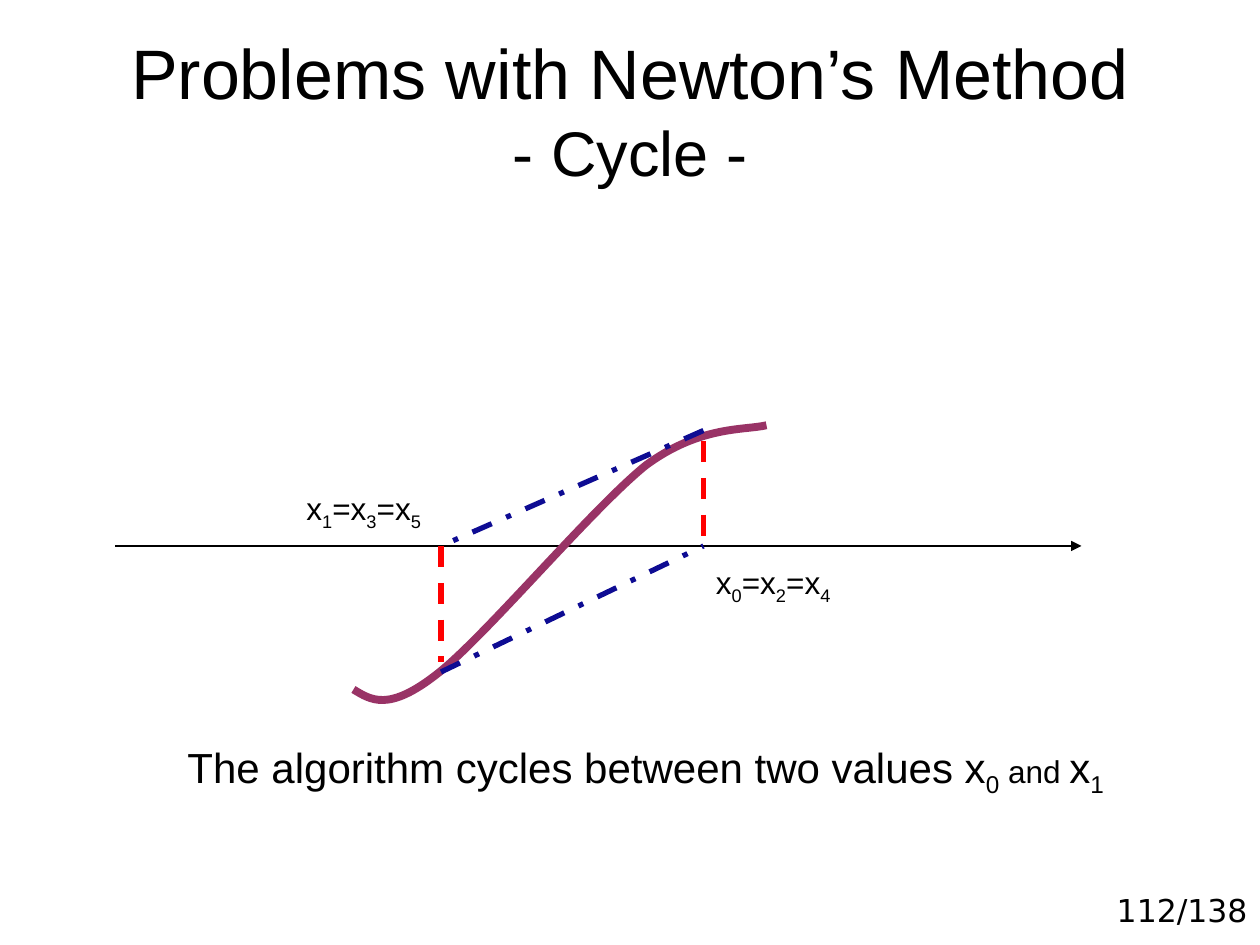
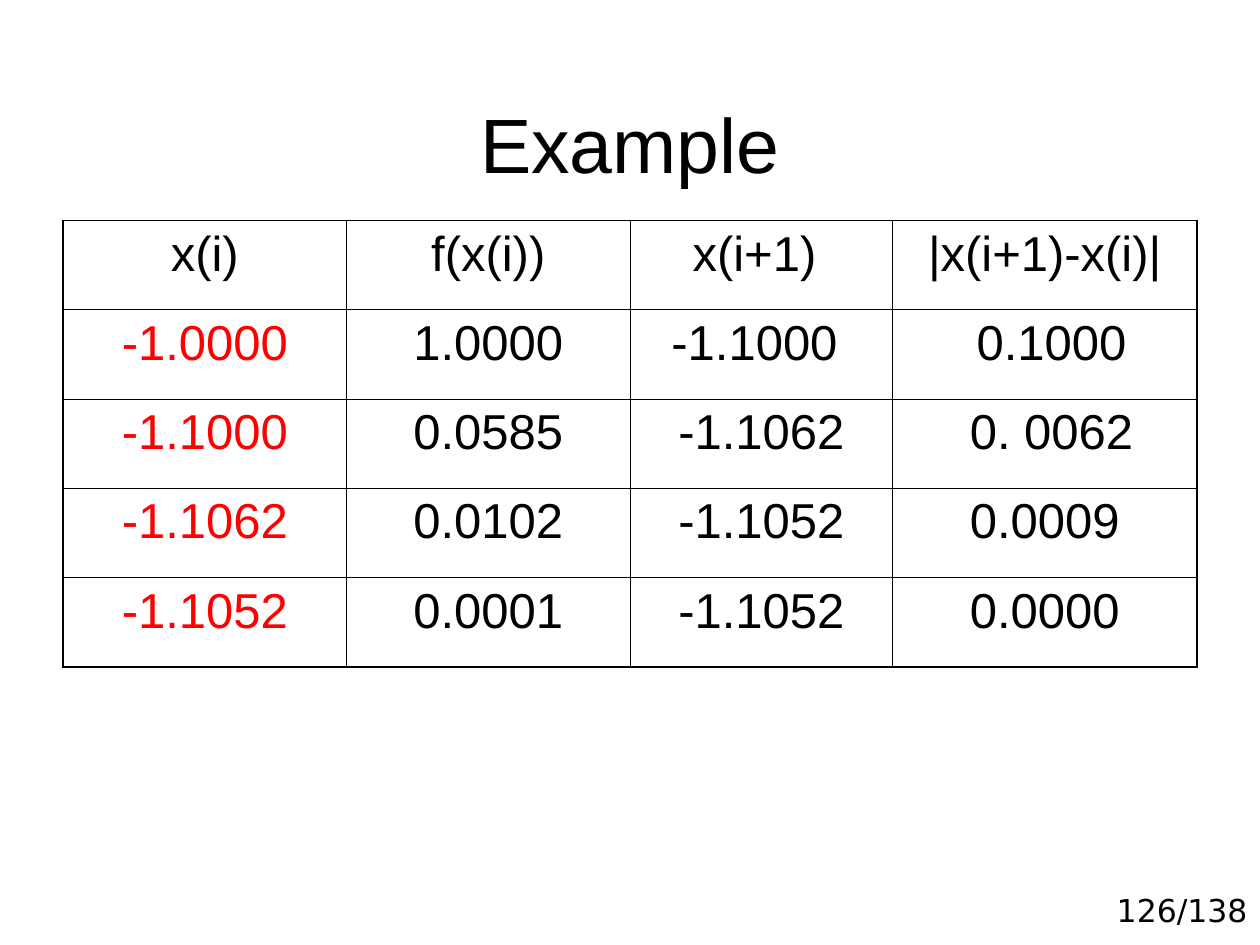
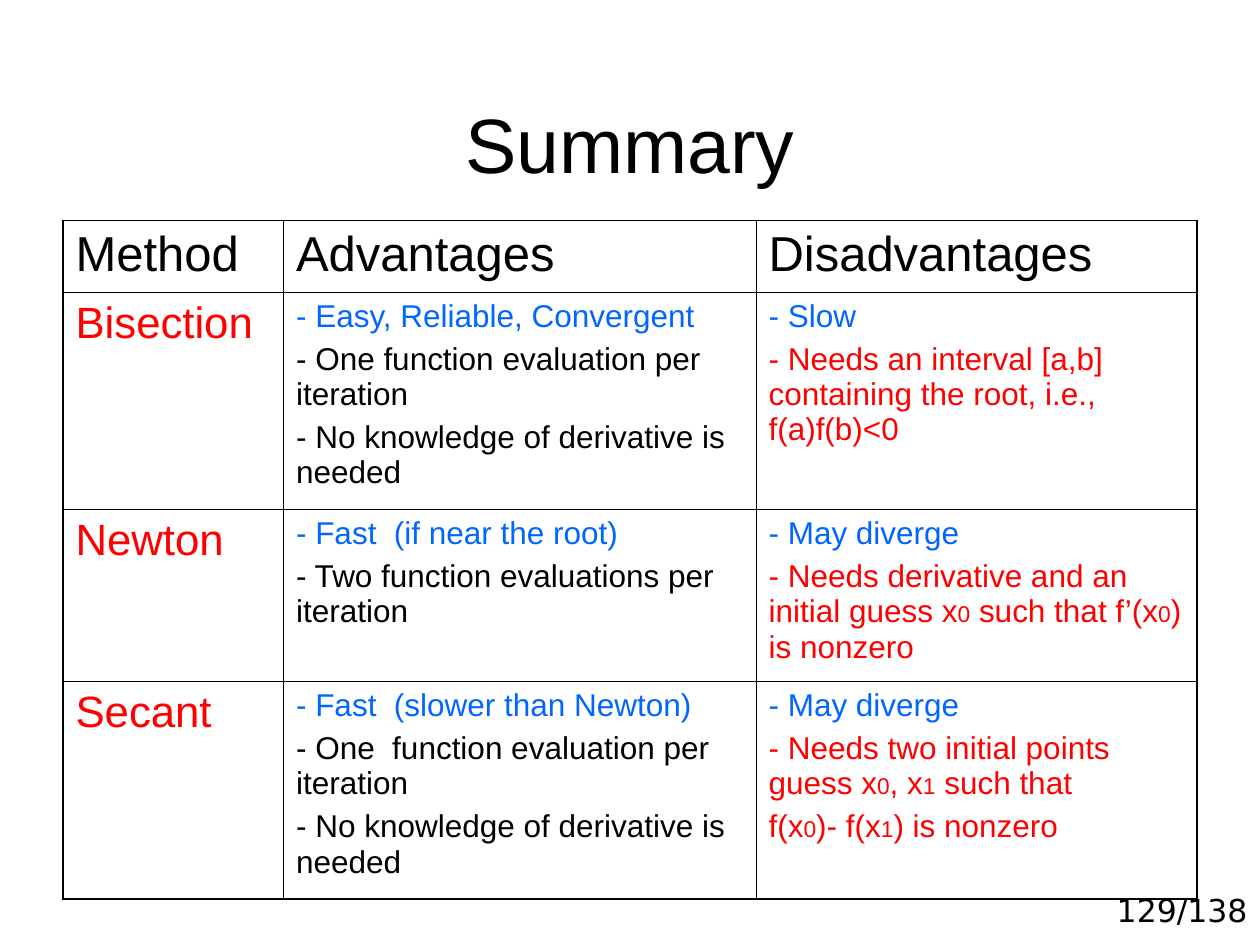
from pptx import Presentation
from pptx.dml.color import RGBColor
from pptx.enum.dml import MSO_LINE
from pptx.enum.shapes import MSO_CONNECTOR
from pptx.enum.text import MSO_ANCHOR, PP_ALIGN
from pptx.oxml.ns import qn
from pptx.util import Pt
from lxml.etree import SubElement, Element

BLACK = RGBColor(0x00, 0x00, 0x00)
RED = RGBColor(0xFF, 0x00, 0x00)
BLUE = RGBColor(0x00, 0x66, 0xFF)
NAVY = RGBColor(0x0E, 0x0C, 0x93)
PLUM = RGBColor(0x99, 0x33, 0x66)

FONT = "Arial"
PAGE_FONT = "DejaVu Sans"
TITLE_BOX = (36, 21.6, 648, 90)
PAGE_BOX = (606, 505.5, 114, 32)
GRAPH_BOX = (66, 240, 552, 168)
CAPTION_BOX = (66, 420, 606, 40)
TABLE_LEFT, TABLE_TOP = 36, 126
THIN, THICK = 0.45, 1.08

VALUES = [
    ["x(i)", "f(x(i))", "x(i+1) ", "|x(i+1)-x(i)|"],
    ["-1.0000", "1.0000", "-1.1000 ", " 0.1000"],
    ["-1.1000", "0.0585", "-1.1062", " 0. 0062"],
    ["-1.1062", "0.0102", "-1.1052", "0.0009"],
    ["-1.1052", "0.0001", "-1.1052", "0.0000"],
]

HEADS = ["Method", "Advantages", "Disadvantages"]
METHODS = [
    ("Bisection",
     ["- Easy, Reliable, Convergent",
      "- One function evaluation per iteration",
      "- No knowledge of derivative is needed"],
     ["- Slow",
      "- Needs an interval [a,b] containing the root, i.e., f(a)f(b)<0"]),
    ("Newton",
     ["- Fast  (if near the root)",
      "- Two function evaluations per iteration"],
     ["- May diverge",
      "- Needs derivative and an initial guess x_0 such that f’(x_0) "
      "is nonzero"]),
    ("Secant",
     ["- Fast  (slower than Newton)",
      "- One  function evaluation per iteration",
      "- No knowledge of derivative is needed"],
     ["- May diverge",
      "- Needs two initial points guess x_0, x_1 such that",
      "f(x_0)- f(x_1) is nonzero"]),
]


def style(para, size, color=BLACK, align=PP_ALIGN.LEFT, font=FONT):
    para.alignment = align
    para.font.name = font
    para.font.size = Pt(size)
    para.font.color.rgb = color


def lower(run):
    run._r.get_or_add_rPr().set("baseline", "-25000")


def shrink(run):
    run.font.size = Pt(13)


def write(para, text, mark=lower):
    """Add runs; the character after each underscore is an index."""
    first, *rest = text.split("_")
    para.add_run().text = first
    for part in rest:
        run = para.add_run()
        run.text = part[0]
        mark(run)
        if part[1:]:
            para.add_run().text = part[1:]


def text_box(slide, box):
    """Add a wrapping text box and return its first paragraph."""
    frame = slide.shapes.add_textbox(*map(Pt, box)).text_frame
    frame.word_wrap = True
    return frame, frame.paragraphs[0]


def start(deck, title, page, size=44, under=None):
    """Add a slide with its title and page number."""
    slide = deck.slides.add_slide(deck.slide_layouts[6])
    _, para = text_box(slide, PAGE_BOX)
    style(para, 18, align=PP_ALIGN.RIGHT, font=PAGE_FONT)
    write(para, f"{page}/138")

    frame, para = text_box(slide, TITLE_BOX)
    frame.vertical_anchor = MSO_ANCHOR.BOTTOM
    style(para, size, align=PP_ALIGN.CENTER)
    write(para, title)
    if under:
        para.add_line_break()
        run = para.add_run()
        run.text = under
        run.font.size = Pt(36)
    return slide


def add_line(slide, ends, color, width, dash=None, arrow=False):
    link = slide.shapes.add_connector(MSO_CONNECTOR.STRAIGHT, *map(Pt, ends))
    line = link.line
    line.color.rgb = color
    line.width = Pt(width)
    if dash:
        line.dash_style = dash
    if arrow:
        SubElement(line._get_or_add_ln(), qn("a:tailEnd"), type="triangle")
    SubElement(link._element.spPr, qn("a:effectLst"))


def add_curve(slide, points, color, width):
    """Draw cubic arcs through a start point and triples of points."""
    spots = [(Pt(x), Pt(y)) for x, y in points]
    form = slide.shapes.build_freeform(*spots[0])
    form.add_line_segments(spots[1:], close=False)
    shape = form.convert_to_shape()
    shape.shadow.inherit = False
    shape.fill.background()
    shape.line.color.rgb = color
    shape.line.width = Pt(width)
    steps = list(shape._element.iter(qn("a:lnTo")))
    for i in range(0, len(steps), 3):
        arc = Element(qn("a:cubicBezTo"))
        steps[i].addprevious(arc)
        for step in steps[i:i + 3]:
            arc.append(step[0])
            step.getparent().remove(step)


def draw_graph(slide, box):
    left, top, width, _ = box
    axis, near, far = 72, 186, 336

    def line(x1, y1, x2, y2, *look, **more):
        ends = (left + x1, top + y1, left + x2, top + y2)
        add_line(slide, ends, *look, **more)

    line(0, axis, width, axis, BLACK, 0.75, arrow=True)
    line(far, 12, far, axis, RED, 3, MSO_LINE.DASH)
    curve = [(136, 154), (146, 160), (156, 167), (184, 145), (211, 124),
             (272, 51), (303, 26), (334, 3), (360, 6), (372, 3)]
    add_curve(slide, [(left + x, top + y) for x, y in curve], PLUM, 4.5)
    line(far, 6, near, axis, NAVY, 3, MSO_LINE.DASH_DOT)
    line(near, axis, near, 138, RED, 3, MSO_LINE.DASH)
    line(near, 144, far, axis, NAVY, 3, MSO_LINE.DASH_DOT)

    labels = [(far, 78, "x_0=x_2=x_4"), (102, 36, "x_1=x_3=x_5")]
    for x, y, text in labels:
        _, para = text_box(slide, (left + x, top + y, 96, 32))
        style(para, 18)
        write(para, text)


def add_caption(slide, box):
    _, para = text_box(slide, box)
    style(para, 24, align=PP_ALIGN.CENTER)
    write(para, "The algorithm cycles between two values x_0")
    run = para.add_run()
    run.text = " and "
    run.font.size = Pt(18)
    write(para, "x_1")


def set_edges(cell, widths):
    """Draw the left, right, top and bottom borders of a cell."""
    props = cell._tc.get_or_add_tcPr()
    for i, (side, width) in enumerate(zip("LRTB", widths)):
        edge = Element(qn(f"a:ln{side}"), w=str(Pt(width)))
        fill = SubElement(edge, qn("a:solidFill"))
        SubElement(fill, qn("a:srgbClr"), val=str(BLACK))
        props.insert(i, edge)


def add_grid(slide, left, top, cols, rows):
    """Add an empty table with thin inner and thick outer lines."""
    table = slide.shapes.add_table(
        len(rows), len(cols), Pt(left), Pt(top),
        Pt(sum(cols)), Pt(sum(rows))).table
    table.first_row = table.horz_banding = False
    for col, width in zip(table.columns, cols):
        col.width = Pt(width)
    for row, height in zip(table.rows, rows):
        row.height = Pt(height)
    for r in range(len(rows)):
        for c in range(len(cols)):
            cell = table.cell(r, c)
            cell.fill.background()
            outer = (c == 0, c == len(cols) - 1, r == 0, r == len(rows) - 1)
            set_edges(cell, [THICK if out else THIN for out in outer])
    return table


def fill_cell(cell, lines, size, colors, align=PP_ALIGN.LEFT):
    """Write lines: the first in the first colour, others in the last."""
    frame = cell.text_frame
    for i, text in enumerate(lines):
        para = frame.add_paragraph() if i else frame.paragraphs[0]
        if i:
            para.space_before = Pt(size / 4)
        style(para, size, colors[-1] if i else colors[0], align)
        write(para, text, shrink)


def add_values(slide, left, top):
    table = add_grid(slide, left, top, [162, 162, 150, 174],
                     [51] * len(VALUES))
    for r, row in enumerate(VALUES):
        for c, text in enumerate(row):
            color = RED if r and c == 0 else BLACK
            fill_cell(table.cell(r, c), [text], 28, [color],
                      PP_ALIGN.CENTER)


def add_methods(slide, left, top):
    table = add_grid(slide, left, top, [126, 270, 252], [41, 124, 98, 124])
    for c, head in enumerate(HEADS):
        fill_cell(table.cell(0, c), [head], 28, [BLACK])
    for r, (name, pros, cons) in enumerate(METHODS, 1):
        fill_cell(table.cell(r, 0), [name], 25, [RED])
        fill_cell(table.cell(r, 1), pros, 18, [BLUE, BLACK])
        fill_cell(table.cell(r, 2), cons, 18, [BLUE, RED])


def main():
    deck = Presentation()
    deck.slide_width, deck.slide_height = Pt(720), Pt(540)

    slide = start(deck, "Problems with Newton’s Method", 112, 40, "- Cycle -")
    add_caption(slide, CAPTION_BOX)
    draw_graph(slide, GRAPH_BOX)

    slide = start(deck, "Example", 126)
    add_values(slide, TABLE_LEFT, TABLE_TOP)

    slide = start(deck, "Summary", 129)
    add_methods(slide, TABLE_LEFT, TABLE_TOP)

    deck.save("out.pptx")


if __name__ == "__main__":
    main()
